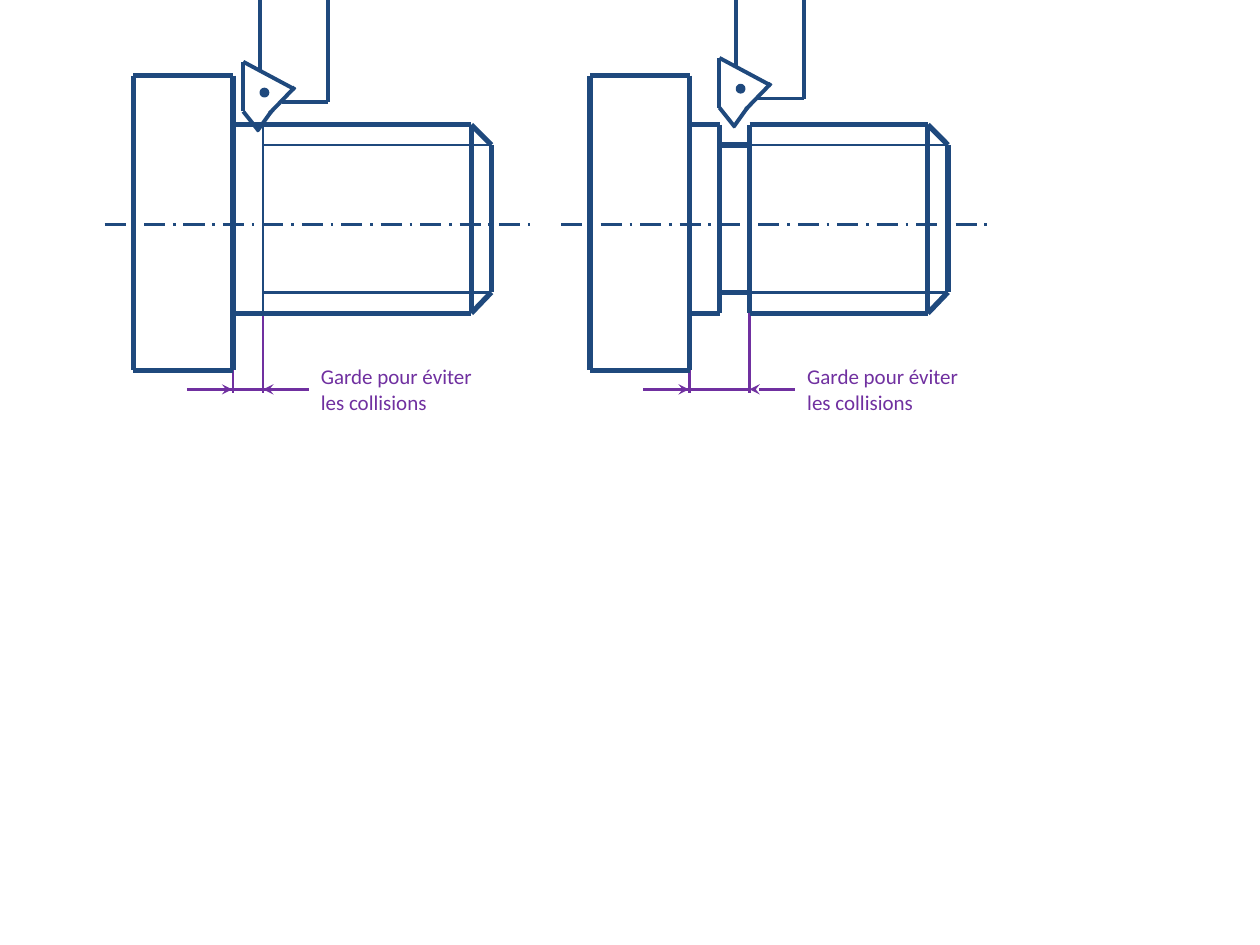
from dataclasses import dataclass

from lxml.etree import SubElement
from pptx import Presentation
from pptx.dml.color import RGBColor
from pptx.enum.dml import MSO_LINE
from pptx.enum.shapes import MSO_CONNECTOR, MSO_SHAPE
from pptx.enum.text import MSO_AUTO_SIZE
from pptx.oxml.ns import qn
from pptx.shapes.shapetree import GroupShapes, SlideShapes
from pptx.util import Pt

COLORS = {"part": "1F497D", "guard": "7030A0"}
THICK, TOOL, THIN = 3, 2.25, 1.5

HEAD_LEFT, FACE, CHAMFER, END = 0, 56.9, 193, 204.5
HEAD_TOP, HEAD_BOTTOM = 43.2, 211.7
SHAFT_TOP, SHAFT_BOTTOM = 71.3, 179
ROOT_TOP, ROOT_BOTTOM = 82.8, 167
AXIS, DIMENSION = 128.2, 222.5
RELIEF, CLEARANCE = 17.2, 34.2


@dataclass(frozen=True)
class Stroke:
    x1: float
    y1: float
    x2: float
    y2: float
    width: float = THICK
    color: str = "part"
    dashed: bool = False
    arrow: bool = False


@dataclass(frozen=True)
class Part:
    left: float
    tool_left: float
    tool_top: float
    grooved: bool

    @property
    def thread(self) -> float:
        return FACE + (CLEARANCE if self.grooved else RELIEF)


PARTS = (
    Part(left=76.3, tool_left=139, tool_top=35.3, grooved=False),
    Part(left=337.2, tool_left=411.1, tool_top=33.1, grooved=True),
)


def draw_strokes(shapes: SlideShapes | GroupShapes, strokes: list[Stroke], left: float, top: float = 0) -> None:
    for stroke in strokes:
        line = shapes.add_connector(
            MSO_CONNECTOR.STRAIGHT,
            Pt(left + stroke.x1), Pt(top + stroke.y1),
            Pt(left + stroke.x2), Pt(top + stroke.y2),
        )
        line.line.width = Pt(stroke.width)
        line.line.color.rgb = RGBColor.from_string(COLORS[stroke.color])
        if stroke.dashed:
            line.line.dash_style = MSO_LINE.LONG_DASH_DOT
        if stroke.arrow:
            SubElement(line.line._get_or_add_ln(), qn("a:tailEnd"), type="stealth")
        SubElement(line._element.spPr, qn("a:effectLst"))


def guard_strokes(thread: float) -> list[Stroke]:
    extensions = [
        Stroke(x, SHAFT_BOTTOM, x, DIMENSION + 2.1, THIN, "guard") for x in (FACE, thread)
    ]
    arrows = [
        Stroke(start, DIMENSION, end, DIMENSION, THIN, "guard", arrow=True)
        for start, end in ((FACE - 26.4, FACE - 0.5), (thread + 25.9, thread))
    ]
    link = Stroke(FACE + 35.3, DIMENSION, FACE - 15.1, DIMENSION, THIN, "guard")
    return extensions + arrows + [link]


def body_strokes(part: Part) -> list[Stroke]:
    thread, groove = part.thread, FACE + RELIEF
    strokes = [Stroke(x, HEAD_TOP, x, HEAD_BOTTOM) for x in (HEAD_LEFT, FACE)]
    strokes += [Stroke(HEAD_LEFT, y, FACE, y) for y in (HEAD_TOP, HEAD_BOTTOM)]
    strokes.append(Stroke(-16.5, AXIS, 226.8, AXIS, THIN, dashed=True))
    spans = [(FACE, groove), (thread, CHAMFER)] if part.grooved else [(FACE, CHAMFER)]
    for shaft, root in ((SHAFT_TOP, ROOT_TOP), (SHAFT_BOTTOM, ROOT_BOTTOM)):
        strokes += [Stroke(start, shaft, end, shaft) for start, end in spans]
        strokes.append(Stroke(CHAMFER, shaft, END, root))
        strokes.append(Stroke(END, root, thread, root, THIN))
        if part.grooved:
            strokes.append(Stroke(groove, root, thread, root))
    strokes.append(Stroke(CHAMFER, SHAFT_TOP, CHAMFER, SHAFT_BOTTOM))
    strokes.append(Stroke(END, ROOT_TOP, END, ROOT_BOTTOM))
    edges = (groove, thread) if part.grooved else (thread,)
    width = THICK if part.grooved else THIN
    strokes += [Stroke(x, SHAFT_TOP, x, SHAFT_BOTTOM, width) for x in edges]
    return strokes


def draw_tool(shapes: SlideShapes, part: Part) -> None:
    tool = shapes.add_group_shape().shapes
    edges = (
        (0, 28.4, 0, 0),
        (0, 28.4, 8.9, 39.6),
        (9.7, 5.8, 9.7, -part.tool_top),
        (22.1, 23.2, 48.5, 23.2),
        (48.5, 23.2, 48.5, -part.tool_top),
        (29.5, 15.8, 0, 0),
        (15, 29.5, 29.5, 14.5),
        (16, 28.4, 8, 39.6),
    )
    draw_strokes(tool, [Stroke(*edge, TOOL) for edge in edges], part.tool_left, part.tool_top)
    screw = tool.add_shape(
        MSO_SHAPE.OVAL, Pt(part.tool_left + 10.3), Pt(part.tool_top + 15.8), Pt(3.6), Pt(3.6)
    )
    screw.shadow.inherit = False
    color = RGBColor.from_string(COLORS["part"])
    screw.fill.solid()
    screw.fill.fore_color.rgb = color
    screw.line.color.rgb = color
    screw.line.width = Pt(2)


def draw_label(shapes: SlideShapes, left: float) -> None:
    box = shapes.add_textbox(Pt(left), Pt(204.5), Pt(167), Pt(36))
    frame = box.text_frame
    frame.word_wrap = True
    frame.auto_size = MSO_AUTO_SIZE.SHAPE_TO_FIT_TEXT
    for index, text in enumerate(("Garde pour éviter", "les collisions")):
        para = frame.add_paragraph() if index else frame.paragraphs[0]
        span = para.add_run()
        span.text = text
        span.font.name = "Calibri"
        span.font.size = Pt(12)
        span.font.color.rgb = RGBColor.from_string(COLORS["guard"])


def main() -> None:
    """Draw two threaded parts, with and without a groove, and their tool clearance."""
    deck = Presentation()
    deck.slide_width, deck.slide_height = Pt(720), Pt(540)
    page = deck.slides.add_slide(deck.slide_layouts[6])
    for part in PARTS:
        draw_strokes(page.shapes, guard_strokes(part.thread) + body_strokes(part), part.left)
        draw_tool(page.shapes, part)
        draw_label(page.shapes, part.left + part.thread + 25.9)
    deck.save("out.pptx")


if __name__ == "__main__":
    main()
